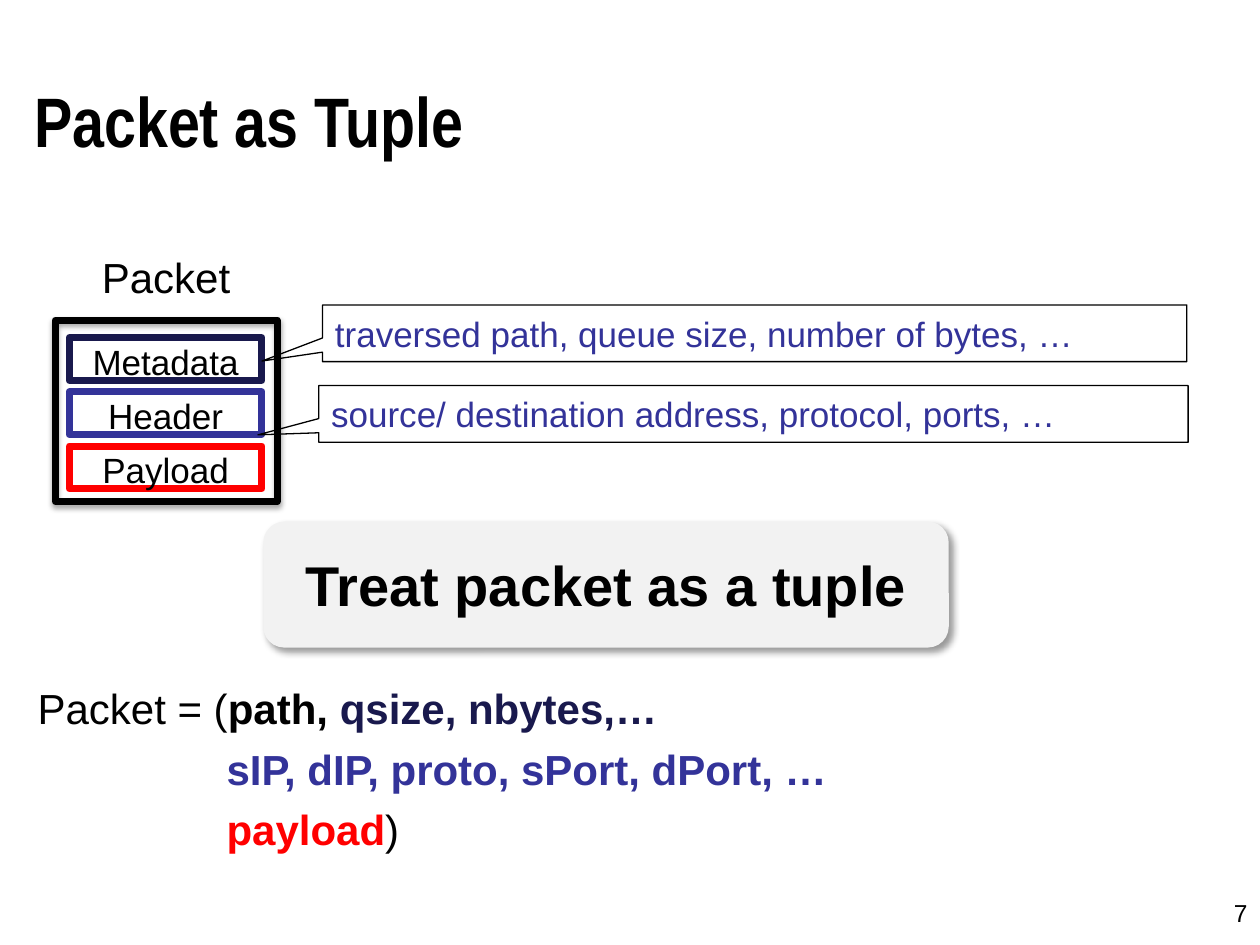
"""Build the "Packet as Tuple" slide."""
import pptx
import pptx.dml.color
import pptx.enum.shapes
import pptx.enum.text
import pptx.oxml
import pptx.oxml.ns
import pptx.util
from dataclasses import dataclass

Inches = pptx.util.Inches
Pt = pptx.util.Pt
RGB = pptx.dml.color.RGBColor.from_string
SHAPE = pptx.enum.shapes.MSO_SHAPE
ALIGN = pptx.enum.text.PP_ALIGN
ANCHOR = pptx.enum.text.MSO_ANCHOR


@dataclass(frozen=True)
class Theme:
    black: str = "000000"
    navy: str = "19194D"
    blue: str = "333399"
    red: str = "FF0000"
    panel: str = "F2F2F2"
    font: str = "Arial"
    title_font: str = "Arial Narrow"
    title: int = 40
    banner: int = 32
    body: int = 24
    label: int = 20
    number: int = 14


T = Theme()


def add_text(p, text, size=T.body, color=T.black, bold=False, font=T.font,
             align=ALIGN.LEFT, spacing=None):
    p.alignment = align
    if spacing:
        p.line_spacing = spacing
    r = p.add_run()
    r.text = text
    r.font.name = font
    r.font.size = Pt(size)
    r.font.bold = bold
    r.font.color.rgb = RGB(color)


def add_box(kind, at, fill=None, line=None, width=4, shadow=None):
    sp = s.shapes.add_shape(kind, *map(Inches, at))
    if fill:
        sp.fill.solid()
        sp.fill.fore_color.rgb = RGB(fill)
    else:
        sp.fill.background()
    if line:
        sp.line.color.rgb = RGB(line)
        sp.line.width = Pt(width)
    else:
        sp.line.fill.background()
    sp.shadow.inherit = False
    if shadow:
        alpha, blur, dist, angle = shadow
        effects = sp.element.spPr.find(pptx.oxml.ns.qn("a:effectLst"))
        effects.append(pptx.oxml.parse_xml(
            f'<a:outerShdw {pptx.oxml.ns.nsdecls("a")} blurRad="{Pt(blur)}" '
            f'dist="{Pt(dist)}" dir="{angle * 60000}" algn="tl" rotWithShape="0">'
            f'<a:srgbClr val="{T.black}"><a:alpha val="{alpha * 1000}"/></a:srgbClr>'
            '</a:outerShdw>'))
    tf = sp.text_frame
    tf.word_wrap = True
    tf.vertical_anchor = ANCHOR.MIDDLE
    return sp


prs = pptx.Presentation()
prs.slide_width, prs.slide_height = Inches(10), Inches(7.5)
s = prs.slides.add_slide(prs.slide_layouts[5])

title = s.shapes.title
title.left, title.top = Inches(0.17), Inches(0.32)
title.width, title.height = Inches(9.58), Inches(1.25)
title.text_frame.vertical_anchor = ANCHOR.MIDDLE
add_text(title.text_frame.paragraphs[0], "Packet as Tuple", size=T.title,
         bold=True, font=T.title_font)

number = s.shapes.add_textbox(Inches(7.67), Inches(7.08), Inches(2.33), Inches(0.25))
number.text_frame.word_wrap = True
add_text(number.text_frame.paragraphs[0], "7", size=T.number, align=ALIGN.RIGHT)

fields = [("Metadata", T.navy), ("Header", T.blue), ("Payload", T.red)]
for i, (name, color) in enumerate(fields):
    sp = add_box(SHAPE.RECTANGLE, (0.55, 2.68 + 0.43 * i, 1.53, 0.34), line=color)
    tf = sp.text_frame
    tf.margin_left = tf.margin_top = tf.margin_right = tf.margin_bottom = 0
    add_text(tf.paragraphs[0], name, size=T.label, align=ALIGN.CENTER, spacing=1.1)

add_box(SHAPE.RECTANGLE, (0.44, 2.54, 1.76, 1.44), line=T.black,
        shadow=(35, 3.1, 1.8, 90))

heading = s.shapes.add_textbox(Inches(0.71), Inches(1.87), Inches(1.23), Inches(0.54))
heading.text_frame.word_wrap = True
add_text(heading.text_frame.paragraphs[0], "Packet", spacing=1.2)

callouts = [
    ((2.56, 2.42, 6.86, 0.45), (-0.57, 0.49),
     "traversed path, queue size, number of bytes, …"),
    ((2.53, 3.06, 6.9, 0.45), (-0.57, 0.37),
     "source/ destination address, protocol, ports, …"),
]
for at, tip, text in callouts:
    sp = add_box(SHAPE.RECTANGULAR_CALLOUT, at, line=T.black, width=0.75)
    sp.adjustments[0], sp.adjustments[1] = tip
    add_text(sp.text_frame.paragraphs[0], text, size=T.label, color=T.blue)

lines = [
    [("Packet = (", T.black, False), ("path, ", T.black, True),
     ("qsize, nbytes,…", T.navy, True)],
    [("sIP, dIP, proto, sPort, dPort, …", T.blue, True)],
    [("payload", T.red, True), (")", T.black, False)],
]
formula = s.shapes.add_textbox(Inches(0.2), Inches(5.29), Inches(9.23), Inches(1.56))
tf = formula.text_frame
tf.word_wrap = True
for i, runs in enumerate(lines):
    p = tf.add_paragraph() if i else tf.paragraphs[0]
    if i:
        p._p.get_or_add_pPr().set("marL", str(Inches(1.5)))
    for text, color, bold in runs:
        add_text(p, text, color=color, bold=bold, spacing=1.2)

banner = add_box(SHAPE.ROUNDED_RECTANGLE, (2.09, 4.14, 5.44, 1), fill=T.panel,
                 shadow=(40, 4, 3, 45))
add_text(banner.text_frame.paragraphs[0], "Treat packet as a tuple", size=T.banner,
         bold=True, align=ALIGN.CENTER)

prs.save("out.pptx")
